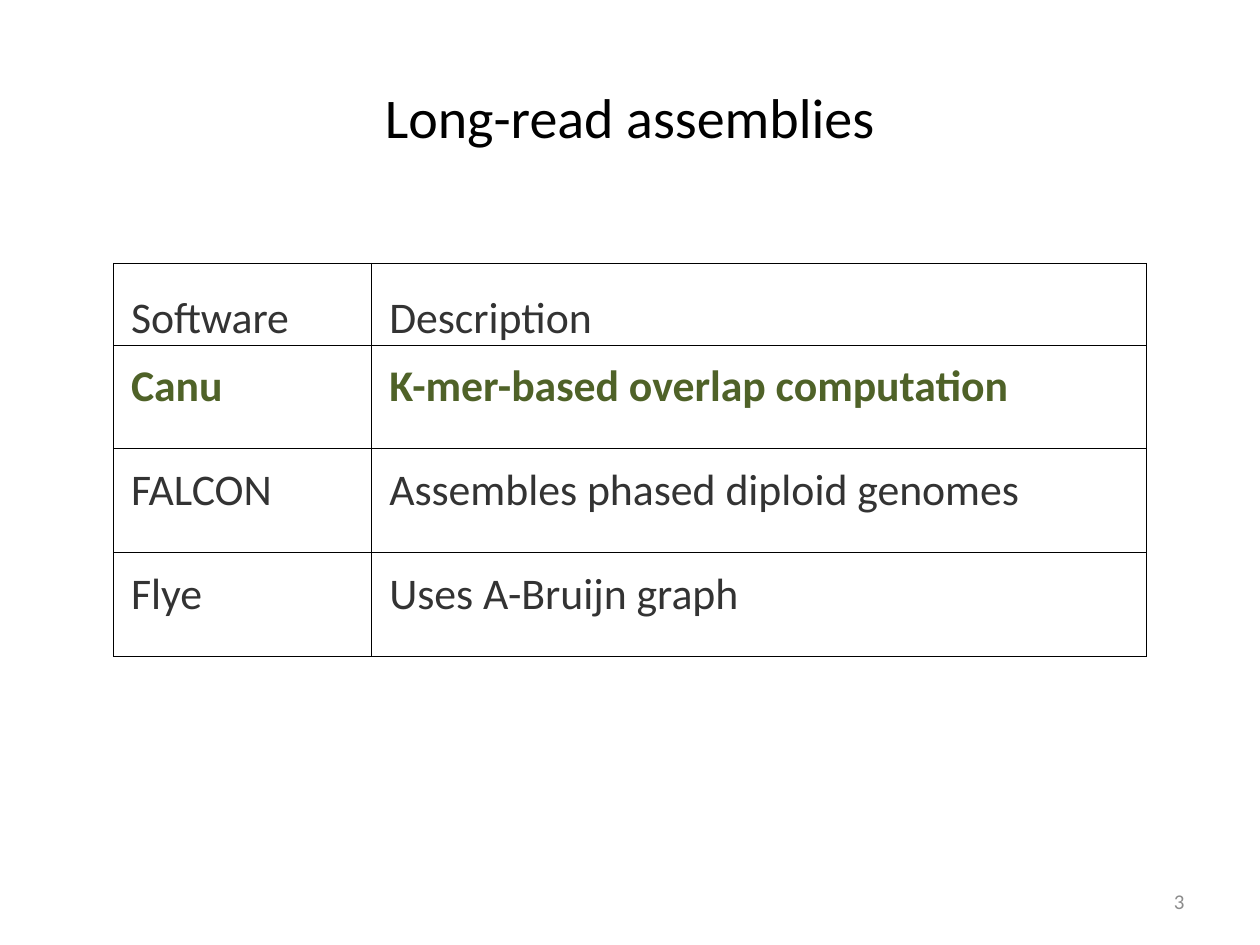
from dataclasses import dataclass

from lxml import etree
from pptx import Presentation
from pptx.dml.color import RGBColor
from pptx.enum.text import MSO_ANCHOR, PP_ALIGN
from pptx.oxml.ns import qn
from pptx.util import Pt

LEFT, CENTER, RIGHT = PP_ALIGN.LEFT, PP_ALIGN.CENTER, PP_ALIGN.RIGHT
TOP, MIDDLE, BOTTOM = MSO_ANCHOR.TOP, MSO_ANCHOR.MIDDLE, MSO_ANCHOR.BOTTOM
FONT = "Calibri"
COLORS = {
    "title": "000000",
    "border": "000000",
    "body": "333333",
    "highlight": "4F6228",
    "number": "8C8C8C",
}
COLUMN_WIDTHS = (147.6, 442.8)
TABLE_LEFT, TABLE_TOP = 64.8, 150.5
BORDER_WIDTH = 0.5


@dataclass
class Label:
    text: str
    left: float
    top: float
    width: float
    height: float
    size: float
    color: str
    align: PP_ALIGN


@dataclass
class Row:
    software: str
    description: str
    height: float = 59.2
    color: str = "body"
    bold: bool = False
    anchor: MSO_ANCHOR = TOP
    margin_top: float = 8.64
    margin_bottom: float = 8.64


LABELS = (
    Label("Long-read assemblies", 36, 21.6, 648, 90, 32, "title", CENTER),
    Label("3", 516, 500.4, 168, 28.8, 12, "number", RIGHT),
)
ROWS = (
    Row("Software", "Description", height=46.8, anchor=BOTTOM, margin_top=1.44, margin_bottom=0),
    Row("Canu", "K-mer-based overlap computation", color="highlight", bold=True),
    Row("FALCON", "Assembles phased diploid genomes"),
    Row("Flye", "Uses A-Bruijn graph"),
)


def write_text(frame, text: str, *, size: float, color: str, align=LEFT, bold: bool = False) -> None:
    """Write one formatted line into a text frame."""
    frame.word_wrap = True
    para = frame.paragraphs[0]
    para.alignment = align
    span = para.add_run()
    span.text = text
    span.font.name = FONT
    span.font.size = Pt(size)
    span.font.bold = bold
    span.font.color.rgb = RGBColor.from_string(COLORS[color])


def add_label(page, label: Label) -> None:
    """Add a vertically centred text box."""
    box = page.shapes.add_textbox(Pt(label.left), Pt(label.top), Pt(label.width), Pt(label.height))
    box.text_frame.vertical_anchor = MIDDLE
    write_text(box.text_frame, label.text, size=label.size, color=label.color, align=label.align)


def add_borders(cell) -> None:
    """Draw a thin line on all four sides of a cell."""
    properties = cell._tc.get_or_add_tcPr()
    for position, side in enumerate(("lnL", "lnR", "lnT", "lnB")):
        line = etree.Element(qn(f"a:{side}"), w=str(int(Pt(BORDER_WIDTH))))
        fill = etree.SubElement(line, qn("a:solidFill"))
        etree.SubElement(fill, qn("a:srgbClr"), val=COLORS["border"])
        properties.insert(position, line)


def fill_cell(cell, text: str, row: Row) -> None:
    """Format one table cell and write its text."""
    cell.fill.background()
    cell.vertical_anchor = row.anchor
    cell.margin_left, cell.margin_right = Pt(10.08), Pt(1.44)
    cell.margin_top, cell.margin_bottom = Pt(row.margin_top), Pt(row.margin_bottom)
    add_borders(cell)
    write_text(cell.text_frame, text, size=25, color=row.color, bold=row.bold)


def add_software_table(page, rows: tuple[Row, ...]) -> None:
    """Add the table of assemblers."""
    table = page.shapes.add_table(
        len(rows), len(COLUMN_WIDTHS), Pt(TABLE_LEFT), Pt(TABLE_TOP),
        Pt(sum(COLUMN_WIDTHS)), Pt(sum(row.height for row in rows)),
    ).table
    table.first_row = table.horz_banding = False
    for column, width in zip(table.columns, COLUMN_WIDTHS):
        column.width = Pt(width)
    for row, table_row in zip(rows, table.rows):
        table_row.height = Pt(row.height)
        for cell, text in zip(table_row.cells, (row.software, row.description)):
            fill_cell(cell, text, row)


def main() -> None:
    """Build and save the slide."""
    deck = Presentation()
    deck.slide_width, deck.slide_height = Pt(720), Pt(540)
    page = deck.slides.add_slide(deck.slide_layouts[6])
    for label in LABELS:
        add_label(page, label)
    add_software_table(page, ROWS)
    deck.save("out.pptx")


if __name__ == "__main__":
    main()
